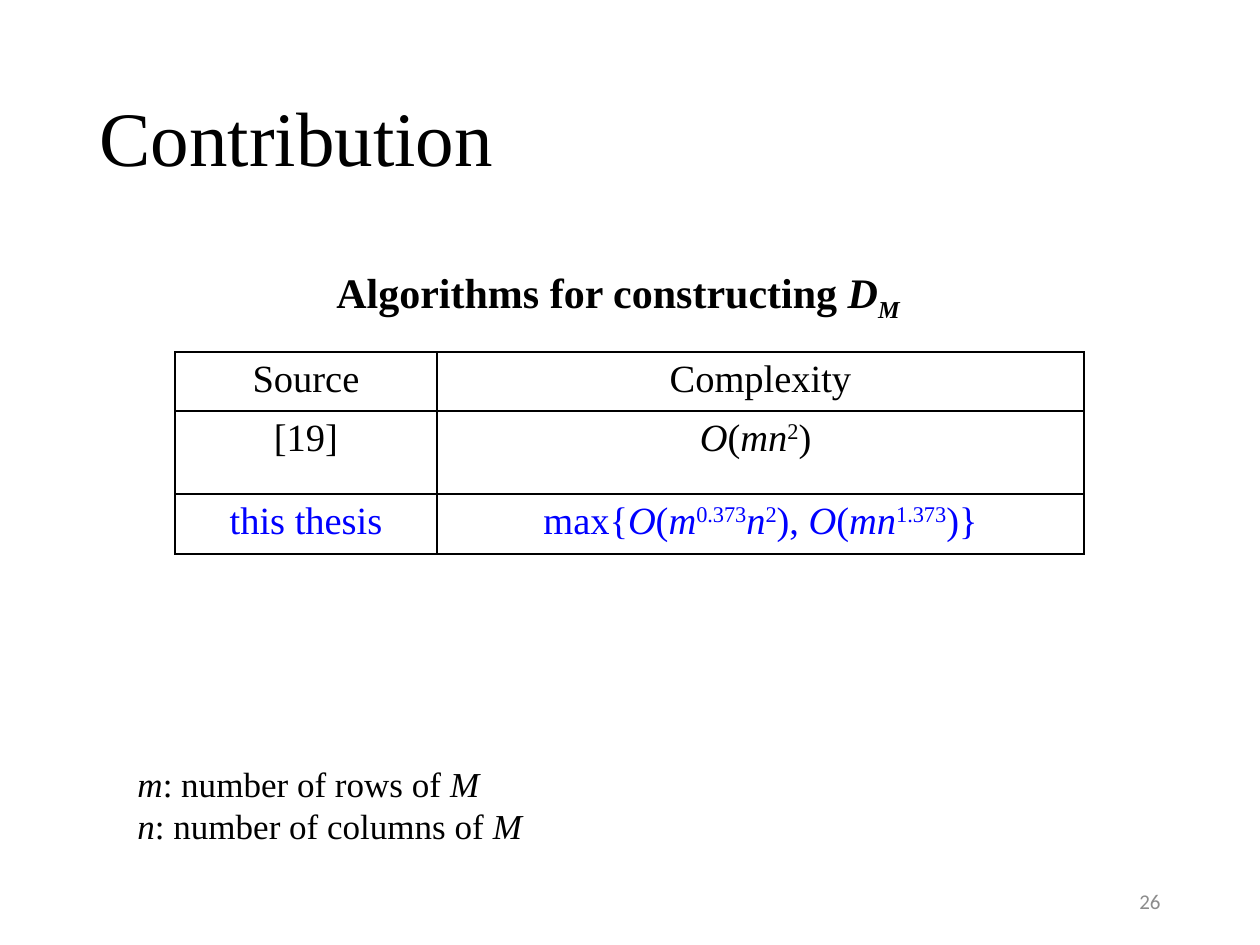
from lxml import etree
from pptx import Presentation
from pptx.dml.color import RGBColor
from pptx.enum.text import MSO_ANCHOR, PP_ALIGN
from pptx.oxml.ns import qn
from pptx.util import Emu, Pt

LEFT, CENTER, RIGHT = PP_ALIGN.LEFT, PP_ALIGN.CENTER, PP_ALIGN.RIGHT
TOP, MIDDLE = MSO_ANCHOR.TOP, MSO_ANCHOR.MIDDLE
SCALE = 914400 / 126
COLORS = {"black": "000000", "white": "FFFFFF", "blue": "0000FF", "gray": "8C8C8C"}
SERIF, SANS = "Times New Roman", "Calibri"
BASELINES = {"^": "30000", "_": "-25000"}
TITLE_FORMAT = {"name": SERIF, "size": Pt(44)}
CAPTION_FORMAT = {"name": SERIF, "size": Pt(24), "bold": True}
CELL_FORMAT = {"name": SERIF, "size": Pt(22)}
LEGEND_FORMAT = {"name": SERIF, "size": Pt(20)}
NUMBER_FORMAT = {"name": SANS, "size": Pt(12)}

COLUMN_WIDTHS = [262, 647]
ROW_HEIGHTS = [59, 83, 60]
ROWS = [
    ("black", [("Source", "")], [("Complexity", "")]),
    ("black", [("[19]", "")],
     [("O", "i"), ("(", ""), ("mn", "i"), ("2", "^"), (") ", "")]),
    ("blue", [("this thesis", "")],
     [("max{", ""), ("O", "i"), ("(", ""), ("m", "i"), ("0.373", "^"),
      ("n", "i"), ("2", "^"), ("), ", ""), ("O", "i"), ("(", ""),
      ("mn", "i"), ("1.373", "^"), (")}", "")]),
]
LEGEND = [
    [("m", "i"), (": number of rows of ", ""), ("M", "i")],
    [("n", "i"), (": number of columns of ", ""), ("M", "i")],
]


def px(length):
    return Emu(round(length * SCALE))


def write_lines(frame, lines, values, color="black", align=LEFT):
    for index, line in enumerate(lines):
        para = frame.paragraphs[0] if index == 0 else frame.add_paragraph()
        para.alignment = align
        for text, style in line:
            span = para.add_run()
            span.text = text
            for name, value in values.items():
                setattr(span.font, name, value)
            span.font.italic = "i" in style
            span.font.color.rgb = RGBColor.from_string(COLORS[color])
            for mark, baseline in BASELINES.items():
                if mark in style:
                    span.font._element.set("baseline", baseline)


def add_title(page, box):
    title = page.shapes.title
    title.left, title.top, title.width, title.height = map(px, box)
    title.text_frame.vertical_anchor = MIDDLE
    write_lines(title.text_frame, [[("Contribution", "")]], TITLE_FORMAT)
    title.text_frame.paragraphs[0].line_spacing = 0.9


def add_text(page, box, lines, values, color="black", align=LEFT, anchor=TOP, wrap=False):
    frame = page.shapes.add_textbox(*map(px, box)).text_frame
    frame.word_wrap = wrap
    frame.vertical_anchor = anchor
    write_lines(frame, lines, values, color, align)


def add_borders(cell):
    properties = cell._tc.get_or_add_tcPr()
    for side in ("a:lnL", "a:lnR", "a:lnT", "a:lnB"):
        line = etree.SubElement(properties, qn(side), w=str(Pt(1)))
        fill = etree.SubElement(line, qn("a:solidFill"))
        etree.SubElement(fill, qn("a:srgbClr"), val=COLORS["black"])


def add_complexity_table(page, left, top):
    box = (left, top, sum(COLUMN_WIDTHS), sum(ROW_HEIGHTS))
    table = page.shapes.add_table(len(ROWS), len(COLUMN_WIDTHS), *map(px, box)).table
    table.first_row = table.horz_banding = False
    for column, width in zip(table.columns, COLUMN_WIDTHS):
        column.width = px(width)
    for row, height, (color, *entries) in zip(table.rows, ROW_HEIGHTS, ROWS):
        row.height = px(height)
        for cell, entry in zip(row.cells, entries):
            add_borders(cell)
            cell.fill.solid()
            cell.fill.fore_color.rgb = RGBColor.from_string(COLORS["white"])
            write_lines(cell.text_frame, [entry], CELL_FORMAT, color, CENTER)


def main():
    deck = Presentation()
    deck.slide_width, deck.slide_height = px(1260), px(945)
    page = deck.slides.add_slide(deck.slide_layouts[5])
    add_title(page, (87, 50, 1086, 183))
    add_text(page, (890, 876, 283, 50), [[("26", "")]], NUMBER_FORMAT,
             "gray", RIGHT, MIDDLE, True)
    add_text(page, (125, 756, 412, 97), LEGEND, LEGEND_FORMAT)
    caption = [("Algorithms for constructing ", ""), ("D", "i"), ("M", "i_")]
    add_text(page, (324, 260, 612, 63), [caption], CAPTION_FORMAT)
    add_complexity_table(page, 175, 352)
    deck.save("out.pptx")


if __name__ == "__main__":
    main()
